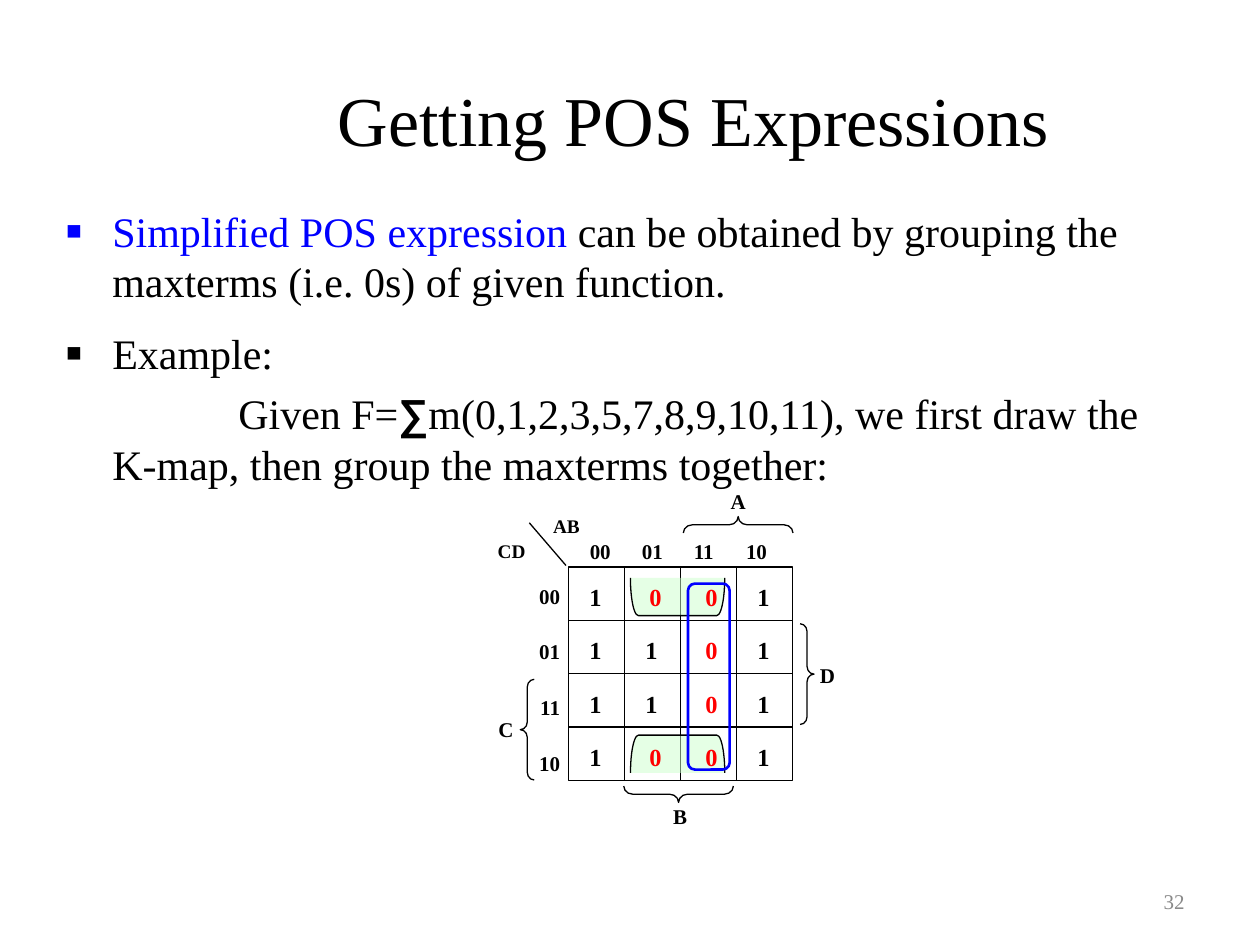
from lxml import etree
from pptx import Presentation
from pptx.dml.color import RGBColor
from pptx.enum.shapes import MSO_CONNECTOR, MSO_SHAPE
from pptx.enum.text import MSO_ANCHOR, MSO_AUTO_SIZE, PP_ALIGN
from pptx.oxml.ns import qn
from pptx.util import Cm, Pt

BLACK = RGBColor(0x00, 0x00, 0x00)
BLUE = RGBColor(0x00, 0x00, 0xFF)
RED = RGBColor(0xFF, 0x00, 0x00)
GRAY = RGBColor(0x89, 0x89, 0x89)
PALE_GREEN = RGBColor(0xCC, 0xFF, 0xCC)
SERIF, SANS = "Times New Roman", "Arial"
LEFT, CENTER, RIGHT = PP_ALIGN.LEFT, PP_ALIGN.CENTER, PP_ALIGN.RIGHT
MIDDLE, NO_AUTOFIT = MSO_ANCHOR.MIDDLE, MSO_AUTO_SIZE.NONE
STRAIGHT = MSO_CONNECTOR.STRAIGHT
RECTANGLE, ROUNDED = MSO_SHAPE.RECTANGLE, MSO_SHAPE.ROUNDED_RECTANGLE
LEFT_BRACE, RIGHT_BRACE = MSO_SHAPE.LEFT_BRACE, MSO_SHAPE.RIGHT_BRACE
BRACKET = MSO_SHAPE.LEFT_BRACKET

KMAP = ("1001", "1101", "1101", "1001")
GRAY_CODE = ("00", "01", "11", "10")


def format_run(run, size, color=BLACK, bold=False, font=SERIF):
    run.font.name = font
    run.font.size = Pt(size)
    run.font.bold = bold
    run.font.color.rgb = color


def place(shape, left, top, width, height):
    shape.left, shape.top = Cm(left), Cm(top)
    shape.width, shape.height = Cm(width), Cm(height)


def add_label(shapes, text, box, size=12, color=BLACK, bold=True, align=CENTER):
    label = shapes.add_textbox(*map(Cm, box))
    frame = label.text_frame
    frame.word_wrap = True
    frame.text = text
    for paragraph in frame.paragraphs:
        paragraph.alignment = align
        for run in paragraph.runs:
            format_run(run, size, color, bold)
    return frame


def add_line(shapes, start, end):
    line = shapes.add_connector(STRAIGHT, *map(Cm, (*start, *end)))
    line.line.color.rgb = BLACK
    line.line.width = Pt(0.75)
    etree.SubElement(line._element.spPr, qn("a:effectLst"))


def add_outline(shapes, kind, center, size, rotation=0, bend=None,
                color=BLACK, weight=0.75):
    """Add an unfilled preset shape around its centre; bend sets its corners."""
    (x, y), (width, height) = center, size
    outline = shapes.add_shape(kind, Cm(x - width / 2), Cm(y - height / 2),
                               Cm(width), Cm(height))
    outline.shadow.inherit = False
    outline.fill.background()
    outline.line.color.rgb = color
    outline.line.width = Pt(weight)
    outline.rotation = rotation
    if bend is not None:
        outline.adjustments[0] = bend
    return outline


def set_bullet(paragraph, color):
    props = paragraph._p.get_or_add_pPr()
    bullet_color = etree.SubElement(props, qn("a:buClr"))
    etree.SubElement(bullet_color, qn("a:srgbClr"), val=str(color))
    etree.SubElement(props, qn("a:buSzPct"), val="120000")
    etree.SubElement(props, qn("a:buFont"), typeface=SERIF)
    etree.SubElement(props, qn("a:buChar"), char="▪")


def fill_title(title, box):
    place(title, *box)
    frame = title.text_frame
    frame.text = "Getting POS Expressions"
    frame.auto_size = NO_AUTOFIT
    frame.vertical_anchor = MIDDLE
    frame.paragraphs[0].alignment = CENTER
    format_run(frame.paragraphs[0].runs[0], 40)


def fill_body(body, box):
    place(body, *box)
    frame = body.text_frame
    frame.auto_size = NO_AUTOFIT
    # bullet colour, space before, first-line indent, runs
    items = (
        (BLUE, 0, -0.95, (("Simplified POS expression", BLUE, SERIF),
                          (" can be obtained by grouping the maxterms "
                           "(i.e. 0s) of given function.", BLACK, SERIF))),
        (BLACK, 12, -0.95, (("Example:", BLACK, SERIF),)),
        (None, 6, 2.54, (("Given F=", BLACK, SERIF), ("∑", BLACK, SANS),
                         ("m(0,1,2,3,5,7,8,9,10,11), we first draw the K-map, "
                          "then group the maxterms together:", BLACK, SERIF))),
    )
    for index, (bullet, space, indent, parts) in enumerate(items):
        paragraph = frame.add_paragraph() if index else frame.paragraphs[0]
        props = paragraph._p.get_or_add_pPr()
        props.set("marL", str(Cm(0.95)))
        props.set("indent", str(Cm(indent)))
        if bullet is None:
            etree.SubElement(props, qn("a:buNone"))
        else:
            set_bullet(paragraph, bullet)
        paragraph.space_before = Pt(space)
        for text, color, font in parts:
            run = paragraph.add_run()
            run.text = text
            format_run(run, 24, color, bold=font == SANS, font=font)


def draw_kmap(shapes, left, top, width, height):
    """Draw the Karnaugh map whose grid fills the box, with labels around it."""
    column, row = width / 4, height / 4

    def at(x, y):
        return left + x, top + y

    add_outline(shapes, RECTANGLE, at(width / 2, height / 2), (width, height))
    for i in range(1, 4):
        add_line(shapes, at(0, i * row), at(width, i * row))
        add_line(shapes, at(i * column, 0), at(i * column, height))
    add_line(shapes, at(-0.05, -0.03), at(-0.79, -0.89))

    for center_y, rotation in ((0.6, 270), (3.77, 90)):
        loop = add_outline(shapes, BRACKET, at(2.2, center_y), (0.76, 1.9),
                           rotation, 0.21)
        loop.fill.solid()
        loop.fill.fore_color.rgb = PALE_GREEN
        tint = loop._element.spPr.find(qn("a:solidFill"))[0]
        etree.SubElement(tint, qn("a:alpha"), val="50000")

    for r, values in enumerate(KMAP):
        for c, value in enumerate(values):
            color, shift = (RED, 0.06) if value == "0" else (BLACK, -0.02)
            cell = (*at(c * column + shift, r * row + 0.18), column, 0.86)
            add_label(shapes, value, cell, 14, color)
    add_outline(shapes, ROUNDED, at(2.83, 2.21), (0.84, 3.75),
                color=BLUE, weight=1.5)

    # variable, brace kind, brace centre, brace size, rotation, label corner
    upright, lying = (0.28, 2.03), (0.33, 2.21)
    for name, kind, center, size, rotation, corner in (
            ("A", LEFT_BRACE, (3.42, -0.85), lying, 90, (3, -1.7)),
            ("B", LEFT_BRACE, (2.22, 4.58), lying, 270, (1.83, 4.65)),
            ("C", LEFT_BRACE, (-0.83, 3.28), upright, 0, (-1.68, 2.9)),
            ("D", RIGHT_BRACE, (4.81, 2.16), upright, 0, (4.8, 1.8))):
        add_outline(shapes, kind, at(*center), size, rotation, 0.55)
        add_label(shapes, name, (*at(*corner), 0.84, 0.7))

    add_label(shapes, "AB", (*at(-0.69, -1.19), 1.3, 0.74), 11)
    add_label(shapes, "CD", (*at(-1.93, -0.69), 1.57, 0.74), 11)
    rows = add_label(shapes, "\n".join(GRAY_CODE),
                     (*at(-0.91, 0.2), 0.99, 4.47), align=RIGHT)
    for paragraph in rows.paragraphs[1:]:
        paragraph.space_before = Pt(17.5)
    columns = add_label(shapes, "\t".join(GRAY_CODE),
                        (*at(0.18, -0.69), 4.2, 0.86), align=LEFT)
    props = columns.paragraphs[0]._p.get_or_add_pPr()
    tabs = etree.SubElement(props, qn("a:tabLst"))
    for i in range(1, 4):
        etree.SubElement(tabs, qn("a:tab"), pos=str(Cm(1.05 * i)), algn="l")


def main():
    deck = Presentation()
    deck.slide_width, deck.slide_height = Cm(25.4), Cm(19.05)
    slide = deck.slides.add_slide(deck.slide_layouts[1])
    fill_title(slide.shapes.title, (3.18, 1.27, 21.59, 2.24))
    fill_body(slide.placeholders[1], (1.06, 4.01, 22.43, 6.15))
    number = add_label(slide.shapes, "32", (18.21, 17.65, 5.92, 1.02),
                       color=GRAY, bold=False, align=RIGHT)
    number.vertical_anchor = MIDDLE
    draw_kmap(slide.shapes.add_group_shape().shapes, 11.46, 11.43, 4.52, 4.3)
    deck.save("out.pptx")


if __name__ == "__main__":
    main()
